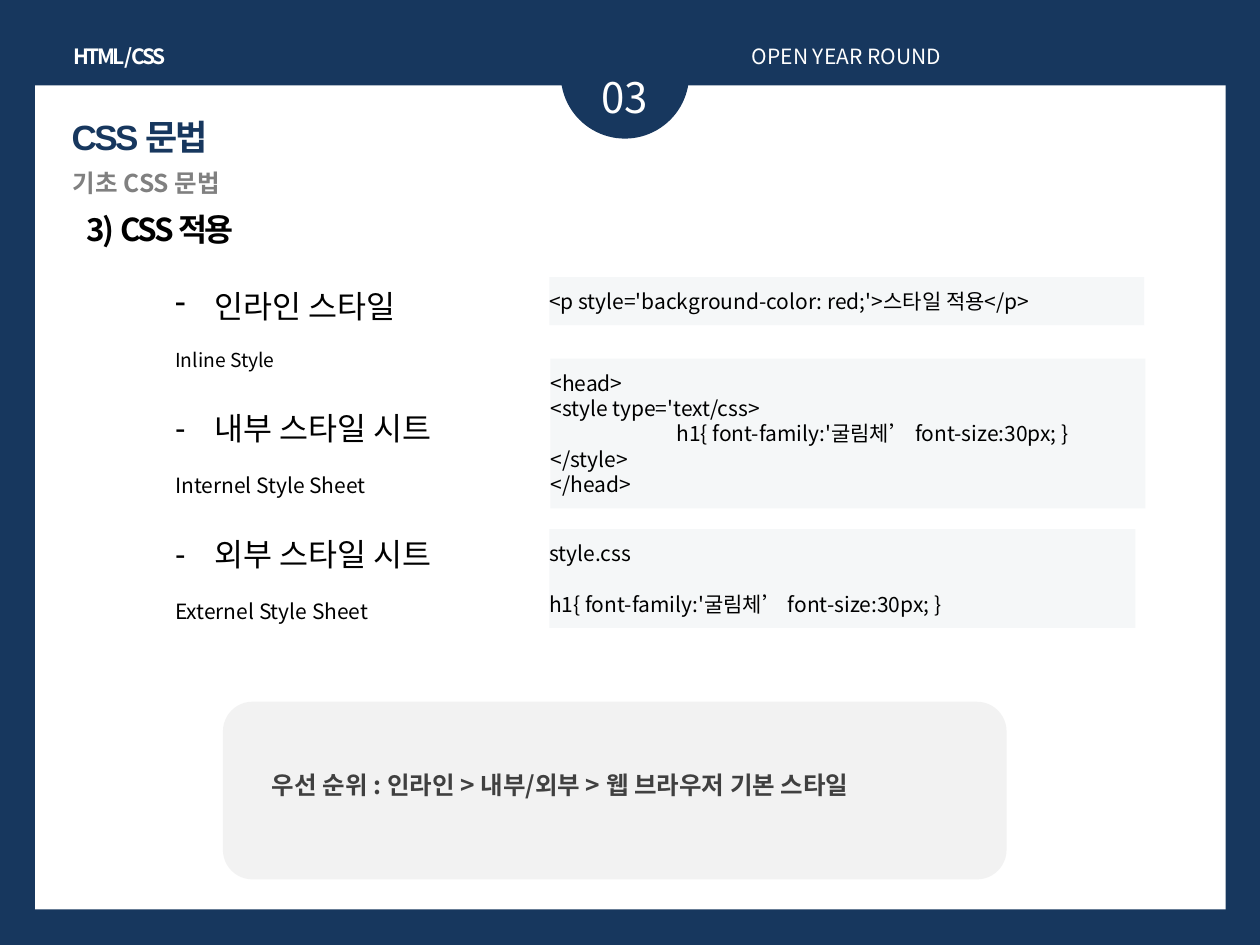
from dataclasses import dataclass

import lxml.etree
import pptx
import pptx.dml.color
import pptx.enum.shapes
import pptx.enum.text
import pptx.oxml.ns
import pptx.util

Pt = pptx.util.Pt
Shape = pptx.enum.shapes.MSO_SHAPE
Align = pptx.enum.text.PP_ALIGN
Anchor = pptx.enum.text.MSO_ANCHOR

SANS = "Noto Sans CJK KR"
NAVY, WHITE, BLACK = "17375E", "FFFFFF", "000000"
CODE_FILL, PANEL_FILL = "F5F7F8", "F2F2F2"


@dataclass
class Area:
    left: float
    top: float
    width: float
    height: float

    def points(self) -> list:
        return [Pt(v) for v in (self.left, self.top, self.width, self.height)]


@dataclass
class CodeLine:
    text: str
    indent: float = 0
    before: float = 0


@dataclass
class CodeBox:
    area: Area
    lines: list[CodeLine]


@dataclass
class Method:
    name: str
    english: str
    english_size: float


CODE_BOXES = [
    CodeBox(Area(313.9, 158.4, 340, 27.4),
            [CodeLine("<p style='background-color: red;'>스타일 적용</p>")]),
    CodeBox(Area(314.6, 205, 340, 85.5), [
        CodeLine("<head>"),
        CodeLine("<style type='text/css>"),
        CodeLine("h1{ font-family:'굴림체’ font-size:30px; }", indent=72),
        CodeLine("</style>"),
        CodeLine("</head>"),
    ]),
    CodeBox(Area(313.9, 302.4, 335, 56.4), [
        CodeLine("style.css"),
        CodeLine("h1{ font-family:'굴림체’ font-size:30px; }", before=14.4),
    ]),
]

METHODS = [
    Method("인라인 스타일", "Inline Style", 11),
    Method("내부 스타일 시트", "Internel Style Sheet", 12),
    Method("외부 스타일 시트", "Externel Style Sheet", 12),
]


def color(hex_text: str) -> pptx.dml.color.RGBColor:
    return pptx.dml.color.RGBColor.from_string(hex_text)


def add_child(parent, tag: str, **attributes: str) -> None:
    lxml.etree.SubElement(parent, pptx.oxml.ns.qn(tag), attributes)


def write(frame, text: str, *, size: float = 12, fill: str = BLACK,
          font: str = SANS, bold: bool = False, tracking: float = 0,
          align=Align.LEFT, line_spacing: float = 1, before: float = 0,
          indent: float = 0, hanging: float = 0, bullet: str = "") -> None:
    """Add a paragraph, using the first one while it is still empty."""
    first = frame.paragraphs[0]
    para = frame.add_paragraph() if first.runs else first
    para.alignment = align
    para.line_spacing = line_spacing
    para.space_before = Pt(before)
    properties = para._p.get_or_add_pPr()
    properties.set("marL", str(Pt(indent)))
    properties.set("indent", str(Pt(-hanging)))
    if bullet:
        add_child(properties, "a:buFontTx")
        add_child(properties, "a:buChar", char=bullet)
    else:
        add_child(properties, "a:buNone")

    span = para.add_run()
    span.text = text
    span.font.size = Pt(size)
    span.font.bold = bold
    span.font.name = font
    span.font.color.rgb = color(fill)
    run_properties = span._r.get_or_add_rPr()
    add_child(run_properties, "a:ea", typeface=SANS)
    if tracking:
        run_properties.set("spc", str(round(tracking * 100)))


def add_block(page, kind, area: Area, fill: str):
    shape = page.shapes.add_shape(kind, *area.points())
    shape.shadow.inherit = False
    shape.fill.solid()
    shape.fill.fore_color.rgb = color(fill)
    shape.line.fill.background()
    return shape


def add_label(page, area: Area, text: str, wrap: bool = True, **style) -> None:
    box = page.shapes.add_textbox(*area.points())
    box.text_frame.word_wrap = wrap
    write(box.text_frame, text, **style)


def place(placeholder, area: Area):
    """Move a placeholder and return its text frame, set from the top."""
    placeholder.left, placeholder.top, placeholder.width, placeholder.height = area.points()
    frame = placeholder.text_frame
    frame.auto_size = pptx.enum.text.MSO_AUTO_SIZE.NONE
    frame.vertical_anchor = Anchor.TOP
    frame.word_wrap = True
    return frame


def add_code(page, code: CodeBox) -> None:
    frame = add_block(page, Shape.RECTANGLE, code.area, CODE_FILL).text_frame
    frame.margin_left = frame.margin_right = 0
    frame.margin_top = frame.margin_bottom = Pt(6.5)
    frame.vertical_anchor = Anchor.MIDDLE
    frame.word_wrap = True
    for line in code.lines:
        write(frame, line.text, indent=line.indent, before=line.before)


def main() -> None:
    deck = pptx.Presentation()
    deck.slide_width, deck.slide_height = Pt(720), Pt(540)
    page = deck.slides.add_slide(deck.slide_layouts[1])
    page.background.fill.solid()
    page.background.fill.fore_color.rgb = color(NAVY)
    title, body = page.placeholders

    sheet = add_block(page, Shape.RECTANGLE, Area(20, 48.8, 680.4, 470.8), WHITE)
    page.shapes._spTree.insert(2, sheet._element)  # behind the placeholders
    add_block(page, Shape.OVAL, Area(320.4, 5.8, 73.4, 73.4), NAVY)
    add_label(page, Area(314.6, 37.4, 85, 36), "03",
              size=24, fill=WHITE, align=Align.CENTER)
    add_label(page, Area(422.6, 21.6, 283.7, 21.6), "OPEN YEAR ROUND",
              fill=WHITE, align=Align.JUSTIFY)
    add_label(page, Area(33.8, 21.6, 69.1, 21.6), "HTML / CSS", wrap=False,
              fill=WHITE, bold=True, tracking=-1.5, align=Align.CENTER)

    write(place(title, Area(33.8, 62.6, 136, 60.5)), "CSS 문법",
          size=20, fill=NAVY, font="Arial", bold=True, tracking=-1.5)
    add_label(page, Area(34.6, 92.2, 254.9, 24.5), "기초 CSS 문법",
              size=14, fill="808080", bold=True)
    add_label(page, Area(42.5, 116.6, 532.8, 28.8), "3)  CSS 적용",
              size=18, bold=True, tracking=-1.5)

    methods = place(body, Area(92.9, 139, 210, 258.5))
    for method in METHODS:
        write(methods, method.name, size=18, line_spacing=2,
              indent=22.5, hanging=22.5, bullet="-")
        write(methods, method.english, size=method.english_size, line_spacing=2)

    for code in CODE_BOXES:
        add_code(page, code)

    add_block(page, Shape.ROUNDED_RECTANGLE, Area(127.4, 401, 447.8, 101.5), PANEL_FILL)
    add_label(page, Area(148.3, 436.3, 393.1, 24.5),
              "우선 순위 : 인라인 > 내부/외부 > 웹 브라우저 기본 스타일",
              size=14, fill="404040", bold=True)

    deck.save("out.pptx")


if __name__ == "__main__":
    main()
